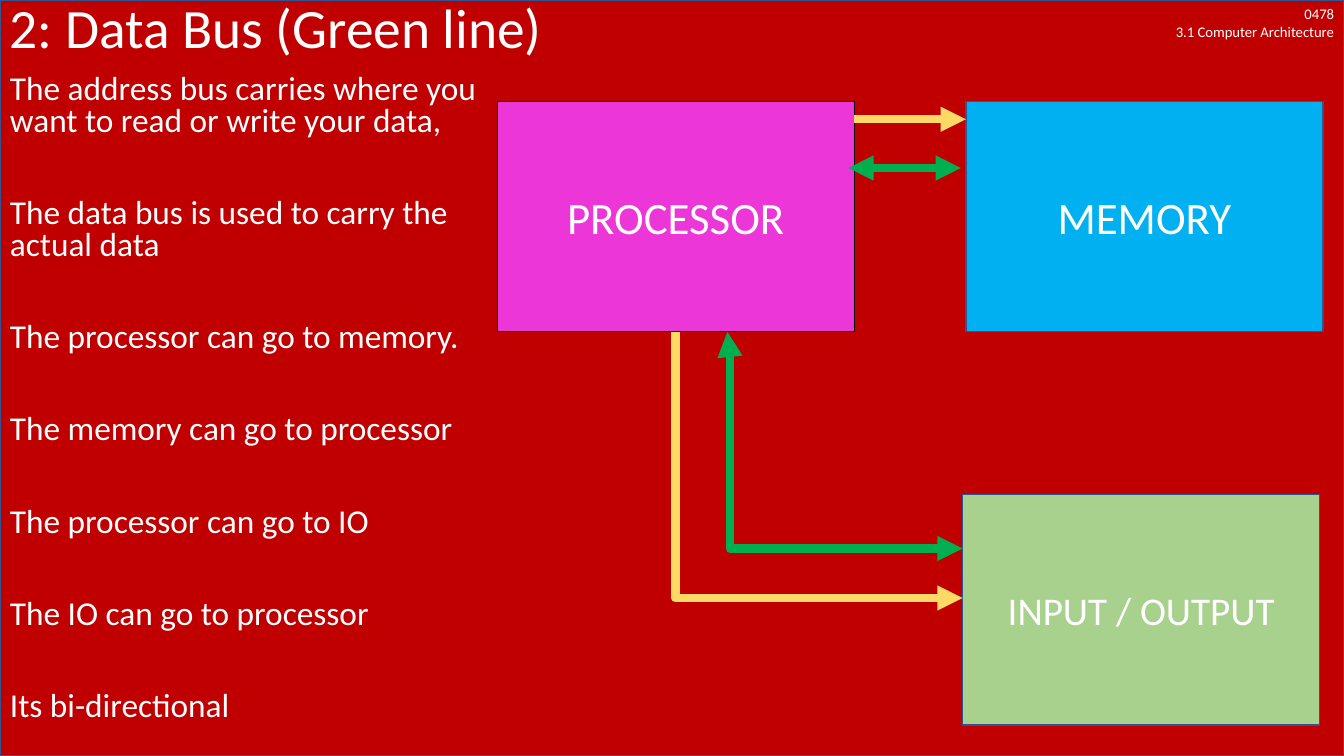
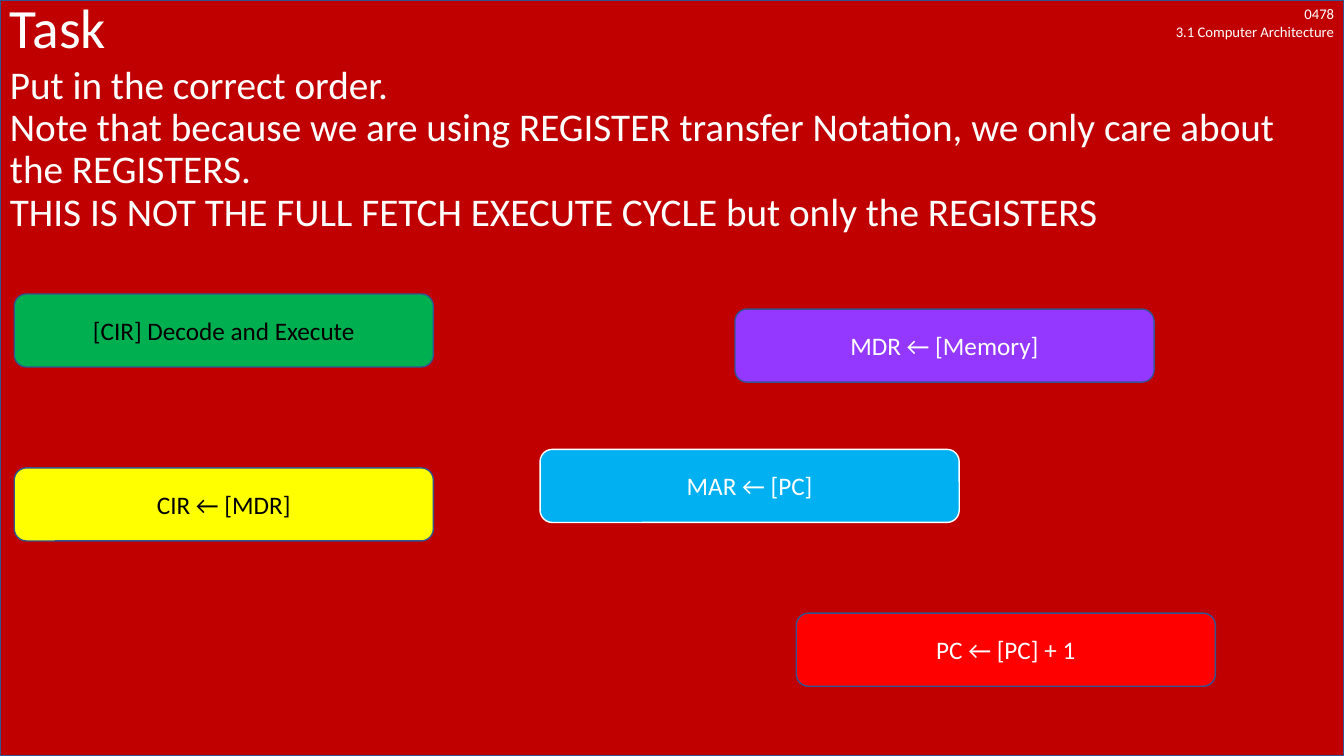
from dataclasses import dataclass
from typing import Optional

from lxml.etree import SubElement
from pptx import Presentation
from pptx.dml.color import RGBColor
from pptx.enum.shapes import MSO_CONNECTOR, MSO_SHAPE
from pptx.enum.text import MSO_ANCHOR, PP_ALIGN
from pptx.oxml.ns import qn
from pptx.slide import Slide
from pptx.util import Emu, Pt

SLIDE_WIDTH, SLIDE_HEIGHT = Emu(12192000), Emu(6858000)
COLUMNS, ROWS = 160, 90


@dataclass(frozen=True)
class Theme:
    font: str = "Calibri"
    background: str = "C00000"
    outline: str = "325491"
    white: str = "FFFFFF"
    black: str = "000000"
    pink: str = "ED36D7"
    blue: str = "00B0F0"
    pale_green: str = "A9D18E"
    green: str = "00B050"
    gold: str = "FFD966"
    purple: str = "9437FF"
    yellow: str = "FFFF00"
    red: str = "FF0000"
    header_size: float = 10.5
    title_size: float = 39.6
    facts_size: float = 23.8
    task_size: float = 28
    unit_size: float = 32
    long_unit_size: float = 28
    step_size: float = 18
    outline_width: float = 1
    bus_width: float = 6


THEME = Theme()


@dataclass(frozen=True)
class Area:
    """A rectangle in grid columns and rows."""
    column: float
    row: float
    columns: float
    rows: float

    def emu(self) -> tuple[Emu, Emu, Emu, Emu]:
        return (across(self.column), down(self.row),
                across(self.columns), down(self.rows))


@dataclass(frozen=True)
class TextStyle:
    size: float
    color: str = THEME.white
    align: PP_ALIGN = PP_ALIGN.LEFT
    anchor: MSO_ANCHOR = MSO_ANCHOR.TOP
    line_spacing: float = 1.0
    gap: float = 0


@dataclass(frozen=True)
class Box:
    text: str
    area: Area
    fill: str
    size: float
    color: str = THEME.white
    outline: str = THEME.outline
    geometry: MSO_SHAPE = MSO_SHAPE.RECTANGLE


@dataclass(frozen=True)
class Bus:
    """An arrow between two grid points; bend is the share of its width before it turns."""
    start: tuple[float, float]
    end: tuple[float, float]
    color: str
    two_way: bool = False
    bend: Optional[float] = None


def across(columns: float) -> Emu:
    return Emu(round(SLIDE_WIDTH * columns / COLUMNS))


def down(rows: float) -> Emu:
    return Emu(round(SLIDE_HEIGHT * rows / ROWS))


FULL_SLIDE = Area(0, 0, COLUMNS, ROWS)
HEADER_AREA = Area(134.9, 0, 25.1, 5.4)
TITLE_AREA = Area(0, 0, COLUMNS, 7.2)
FACTS_AREA = Area(0, 8.3, 59.2, 81.7)
TASK_AREA = Area(0, 7.2, COLUMNS, 82.8)

HEADER_STYLE = TextStyle(THEME.header_size, align=PP_ALIGN.RIGHT)
TITLE_STYLE = TextStyle(THEME.title_size, anchor=MSO_ANCHOR.MIDDLE, line_spacing=0.9)
FACTS_STYLE = TextStyle(THEME.facts_size, line_spacing=0.8, gap=43)
TASK_STYLE = TextStyle(THEME.task_size, line_spacing=0.9)

HEADER = "0478\v3.1 Computer Architecture"
FACTS = [
    "The address bus carries where you want to read or write your data,",
    "The data bus is used to carry the actual data",
    "The processor can go to memory.",
    "The memory can go to processor",
    "The processor can go to IO",
    "The IO can go to processor",
    "Its bi-directional",
]
TASK = [
    "Put in the correct order.\v"
    "Note that because we are using REGISTER transfer Notation, "
    "we only care about the REGISTERS.\v"
    "THIS IS NOT THE FULL FETCH EXECUTE CYCLE but only the REGISTERS"
]


def unit(text: str, column: float, row: float, fill: str,
         size: float = THEME.unit_size, outline: str = THEME.outline) -> Box:
    """A hardware unit of the bus diagram."""
    return Box(text, Area(column, row, 42.5, 27.4), fill, size, outline=outline)


def step(text: str, column: float, row: float, fill: str,
         color: str = THEME.white, outline: str = THEME.outline) -> Box:
    """A card naming one step of the cycle."""
    return Box(text, Area(column, row, 49.9, 8.7), fill, THEME.step_size,
               color, outline, MSO_SHAPE.ROUNDED_RECTANGLE)


UNITS = [
    unit("PROCESSOR", 59.2, 12.1, THEME.pink, outline=THEME.black),
    unit("MEMORY", 115, 12.1, THEME.blue),
    unit("INPUT / OUTPUT", 114.6, 58.9, THEME.pale_green, THEME.long_unit_size),
]
BUSES = [
    Bus((101.7, 14.2), (115, 14.2), THEME.gold),
    Bus((80.4, 39.5), (114.6, 71.2), THEME.gold, bend=0),
    Bus((101, 20), (114.4, 20), THEME.green, two_way=True),
    Bus((86.6, 39.5), (114.6, 65.3), THEME.green, two_way=True, bend=0.01),
]
STEPS = [
    step("MAR ← [PC]", 64.3, 53.5, THEME.blue, outline=THEME.white),
    step("MDR ← [Memory]", 87.5, 36.8, THEME.purple),
    step("CIR ← [MDR]", 1.7, 55.7, THEME.yellow, THEME.black),
    step("PC ← [PC] + 1", 94.8, 73, THEME.red),
    step("[CIR] Decode and Execute", 1.7, 35, THEME.green, THEME.black),
]


def write(shape, texts: list[str], style: TextStyle) -> None:
    frame = shape.text_frame
    frame.word_wrap = True
    frame.vertical_anchor = style.anchor
    for index, text in enumerate(texts):
        paragraph = frame.add_paragraph() if index else frame.paragraphs[0]
        paragraph.text = text
        paragraph.alignment = style.align
        paragraph.line_spacing = style.line_spacing
        paragraph.space_before = Pt(style.gap if index else 0)
        paragraph.font.name = THEME.font
        paragraph.font.size = Pt(style.size)
        paragraph.font.color.rgb = RGBColor.from_string(style.color)


def add_text(slide: Slide, area: Area, texts: list[str], style: TextStyle) -> None:
    write(slide.shapes.add_textbox(*area.emu()), texts, style)


def add_box(slide: Slide, box: Box) -> None:
    shape = slide.shapes.add_shape(box.geometry, *box.area.emu())
    shape.shadow.inherit = False
    shape.fill.solid()
    shape.fill.fore_color.rgb = RGBColor.from_string(box.fill)
    shape.line.color.rgb = RGBColor.from_string(box.outline)
    shape.line.width = Pt(THEME.outline_width)
    if box.text:
        write(shape, [box.text], TextStyle(box.size, box.color, PP_ALIGN.CENTER,
                                           MSO_ANCHOR.MIDDLE))


def add_bus(slide: Slide, bus: Bus) -> None:
    kind = MSO_CONNECTOR.STRAIGHT if bus.bend is None else MSO_CONNECTOR.ELBOW
    connector = slide.shapes.add_connector(
        kind, across(bus.start[0]), down(bus.start[1]),
        across(bus.end[0]), down(bus.end[1]))
    connector.line.color.rgb = RGBColor.from_string(bus.color)
    connector.line.width = Pt(THEME.bus_width)
    properties = connector.element.spPr
    line = properties.find(qn("a:ln"))
    if bus.two_way:
        SubElement(line, qn("a:headEnd"), type="triangle")
    SubElement(line, qn("a:tailEnd"), type="triangle")
    SubElement(properties, qn("a:effectLst"))
    if bus.bend is not None:
        adjustments = properties.find(qn("a:prstGeom")).find(qn("a:avLst"))
        SubElement(adjustments, qn("a:gd"), name="adj1",
                   fmla=f"val {round(bus.bend * 100000)}")


def add_slide(presentation, title: str) -> Slide:
    """A blank slide with the shared background, header and title."""
    slide = presentation.slides.add_slide(presentation.slide_layouts[6])
    add_box(slide, Box("", FULL_SLIDE, THEME.background, THEME.title_size))
    add_text(slide, HEADER_AREA, [HEADER], HEADER_STYLE)
    add_text(slide, TITLE_AREA, [title], TITLE_STYLE)
    return slide


def add_data_bus_slide(presentation) -> None:
    slide = add_slide(presentation, "2: Data Bus (Green line)")
    add_text(slide, FACTS_AREA, FACTS, FACTS_STYLE)
    for box in UNITS:
        add_box(slide, box)
    for bus in BUSES:
        add_bus(slide, bus)


def add_task_slide(presentation) -> None:
    slide = add_slide(presentation, "Task")
    add_text(slide, TASK_AREA, TASK, TASK_STYLE)
    for box in STEPS:
        add_box(slide, box)


def main() -> None:
    presentation = Presentation()
    presentation.slide_width, presentation.slide_height = SLIDE_WIDTH, SLIDE_HEIGHT
    add_data_bus_slide(presentation)
    add_task_slide(presentation)
    presentation.save("out.pptx")


if __name__ == "__main__":
    main()
